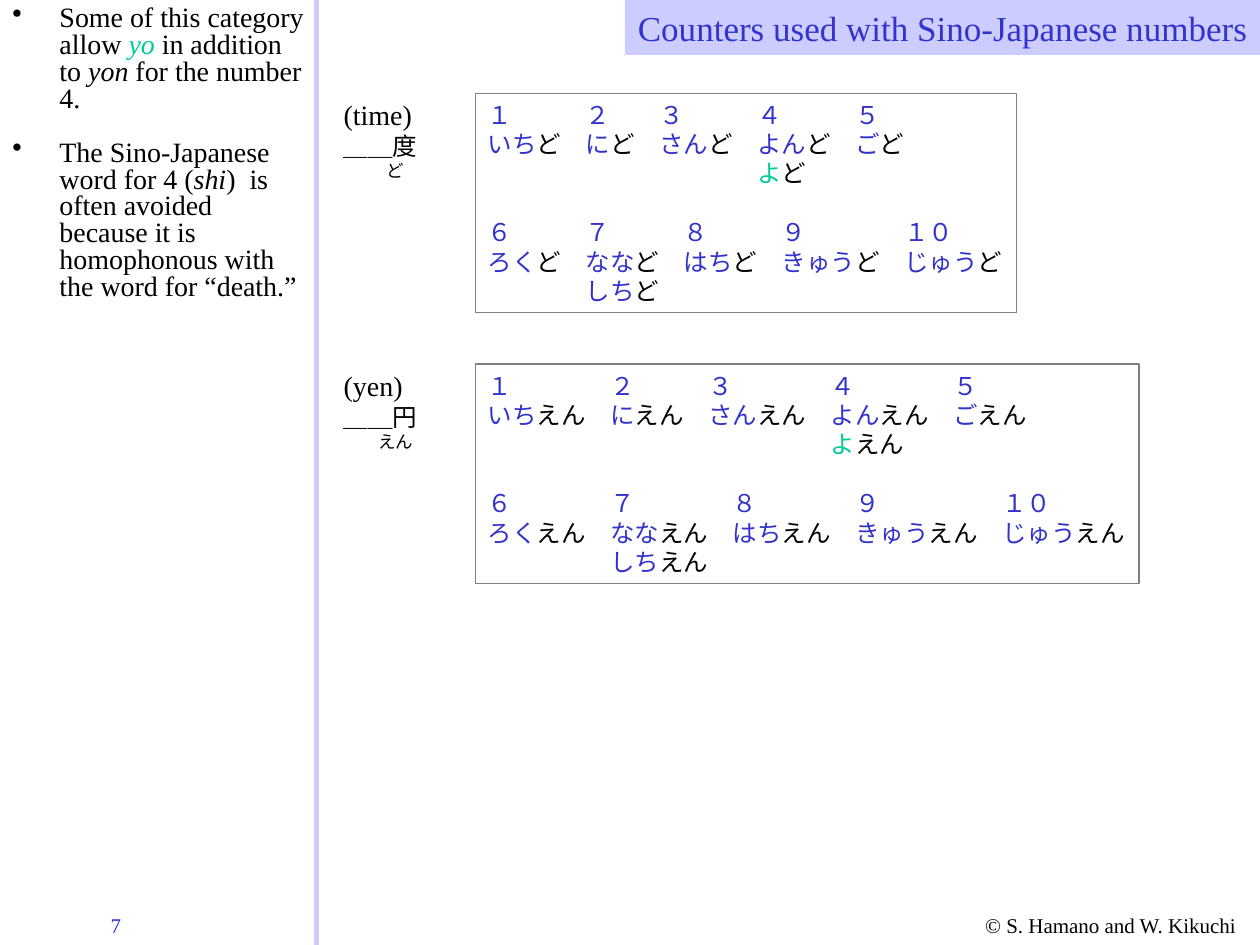
from lxml import etree
from pptx import Presentation
from pptx import util as u
from pptx.dml.color import RGBColor
from pptx.enum import shapes, text
from pptx.oxml import ns

# Content: runs are (words, style)
TITLE = "Counters used with Sino-Japanese numbers"
COPYRIGHT = "© S. Hamano and W. Kikuchi"
PAGE_NUMBER = "7"
NOTES = [
    [("Some of this category allow ", "note"), ("yo", "note_special"),
     (" in addition to ", "note"), ("yon", "note_term"), (" for the number 4.", "note")],
    [("The Sino-Japanese word for 4 (", "note"), ("shi", "note_term"),
     (")  is often avoided because it is homophonous with the word for “death.”", "note")],
]
# (numeral, reading, other reading, style of the other reading)
NUMBER_ROWS = [
    [("１", "いち", "", ""), ("２", "に", "", ""), ("３", "さん", "", ""),
     ("４", "よん", "よ", "special"), ("５", "ご", "", "")],
    [("６", "ろく", "", ""), ("７", "なな", "しち", "number"), ("８", "はち", "", ""),
     ("９", "きゅう", "", ""), ("１０", "じゅう", "", "")],
]
# (meaning, kanji, counter reading, indent of that reading in cm)
COUNTERS = [("(time)", "度", "ど", 0.86), ("(yen)", "円", "えん", 0.7)]

# Theme
LATIN, JAPANESE = "Times New Roman", "Noto Sans CJK JP"
BLACK, BLUE, GREEN, LAVENDER, GRAY = (
    RGBColor.from_string(c) for c in ("000000", "3333CC", "00CC99", "CCCCFF", "808080"))
THEME = {
    "title": dict(name=LATIN, size=u.Pt(20), color=BLUE),
    "note": dict(name=LATIN, size=u.Pt(16), color=BLACK),
    "note_term": dict(name=LATIN, size=u.Pt(16), color=BLACK, italic=True),
    "note_special": dict(name=LATIN, size=u.Pt(16), color=GREEN, italic=True),
    "meaning": dict(name=LATIN, size=u.Pt(16), color=BLACK),
    "counter": dict(name=JAPANESE, size=u.Pt(14), color=BLACK),
    "number": dict(name=JAPANESE, size=u.Pt(14), color=BLUE),
    "special": dict(name=JAPANESE, size=u.Pt(14), color=GREEN),
    "ruby": dict(name=JAPANESE, size=u.Pt(10), color=BLACK),
    "footer": dict(name=LATIN, size=u.Pt(12), color=BLACK),
    "page": dict(name=LATIN, size=u.Pt(12), color=BLUE),
}
LINE_HEIGHT = 1.2
INSETS = dict(margin_left=u.Cm(0.25), margin_right=u.Cm(0.25),
              margin_top=u.Cm(0.13), margin_bottom=u.Cm(0.13))

# Layout
COLUMN_X = u.Cm(6.38)
COUNTER_TOP, COUNTER_PITCH = u.Cm(1.88), u.Cm(5.46)
LABEL_LEFT, BOX_LEFT, BOX_HEIGHT = u.Cm(6.68), u.Cm(9.58), u.Cm(4.42)
CELL = THEME["number"]["size"]


def set_values(target, values):
    for name, value in values.items():
        setattr(target, name, value)


def write_paragraph(paragraph, runs, spacing=LINE_HEIGHT, **values):
    for words, style in runs:
        run = paragraph.add_run()
        run.text = words
        font_values = dict(THEME[style])
        run.font.color.rgb = font_values.pop("color")
        set_values(run.font, font_values)
        east_asian = etree.SubElement(run.font._element, ns.qn("a:ea"))
        east_asian.set("typeface", font_values["name"])
    line_spacing = u.Emu(int(THEME[runs[0][1]]["size"] * spacing))
    set_values(paragraph, dict(line_spacing=line_spacing, **values))


def set_indent(paragraph, left, first=0):
    properties = paragraph._p.get_or_add_pPr()
    properties.set("marL", str(left))
    properties.set("indent", str(first))
    return properties


def add_paragraph(frame, first):
    return frame.paragraphs[0] if first else frame.add_paragraph()


def style_frame(frame, wrap=True, **values):
    set_values(frame, dict(INSETS, word_wrap=wrap, auto_size=text.MSO_AUTO_SIZE.NONE,
                           vertical_anchor=text.MSO_ANCHOR.TOP, **values))
    return frame


def add_text(slide, left, top, width, height, wrap=True):
    return style_frame(slide.shapes.add_textbox(left, top, width, height).text_frame, wrap)


def add_box(slide, left, top, width, height, fill=None, line=None):
    shape = slide.shapes.add_shape(shapes.MSO_SHAPE.RECTANGLE, left, top, width, height)
    shape.shadow.inherit = False
    if fill is None:
        shape.fill.background()
    else:
        shape.fill.solid()
        shape.fill.fore_color.rgb = fill
    if line is None:
        shape.line.fill.background()
    else:
        shape.line.color.rgb = line
        shape.line.width = u.Pt(0.75)
    return shape


def column_starts(row, suffix):
    """Each column holds its reading, the counter and one blank cell."""
    starts = [0]
    for _, reading, _, _ in row:
        starts.append(starts[-1] + len(reading + suffix) + 1)
    return starts


def row_lines(row, suffix):
    numerals, readings, others = [], [], []
    for index, (numeral, reading, other, style) in enumerate(row):
        tab = "\t" if index else ""
        numerals.append((tab + numeral, "number"))
        readings += [(tab + reading, "number"), (suffix, "counter")]
        if other:
            others = [("\t" * index + other, style), (suffix, "counter")]
    return numerals, readings, others


def add_counter(slide, top, meaning, kanji, suffix, ruby_indent):
    # Meaning, kanji and its reading
    frame = add_text(slide, LABEL_LEFT, top - u.Cm(0.05), u.Cm(2.79), u.Cm(1.96))
    label = [(meaning, "meaning"), ("＿＿" + kanji, "counter"), (suffix, "ruby")]
    for index, run in enumerate(label):
        paragraph = add_paragraph(frame, index == 0)
        write_paragraph(paragraph, [run])
    set_indent(paragraph, u.Cm(ruby_indent))

    # Framed readings, wide enough for the longest row
    all_starts = [column_starts(row, suffix) for row in NUMBER_ROWS]
    cells = max(starts[-1] for starts in all_starts) - 1
    width = cells * CELL + u.Cm(0.54)
    shape = add_box(slide, BOX_LEFT, top, width, BOX_HEIGHT, line=GRAY)
    frame = style_frame(shape.text_frame)
    frame.margin_right = 0
    for row_index, (row, starts) in enumerate(zip(NUMBER_ROWS, all_starts)):
        for line_index, runs in enumerate(row_lines(row, suffix)):
            paragraph = add_paragraph(frame, row_index + line_index == 0)
            properties = paragraph._p.get_or_add_pPr()
            tabs = etree.SubElement(properties, ns.qn("a:tabLst"))
            for start in starts[1:-1]:
                etree.SubElement(tabs, ns.qn("a:tab"), pos=str(start * CELL), algn="l")
            write_paragraph(paragraph, runs, alignment=text.PP_ALIGN.LEFT)
            if row_index and not line_index:
                paragraph.space_before = u.Emu(int(CELL * LINE_HEIGHT))


def add_notes(slide):
    frame = add_text(slide, 0, 0, COLUMN_X, u.Cm(7.14))
    spacing = LINE_HEIGHT * 0.8
    for index, runs in enumerate(NOTES):
        paragraph = add_paragraph(frame, index == 0)
        properties = set_indent(paragraph, u.Cm(0.95), -u.Cm(0.95))
        color = etree.SubElement(properties, ns.qn("a:buClr"))
        etree.SubElement(color, ns.qn("a:srgbClr"), val=str(BLACK))
        etree.SubElement(properties, ns.qn("a:buChar"), char="•")
        write_paragraph(paragraph, runs, spacing)
        if index:
            paragraph.space_before = u.Emu(int(THEME["note"]["size"] * spacing))


def main():
    presentation = Presentation()
    set_values(presentation, dict(slide_width=u.Cm(25.4), slide_height=u.Cm(19.05)))
    slide = presentation.slides.add_slide(presentation.slide_layouts[6])

    # Footer
    for words, style, left, width in ((COPYRIGHT, "footer", 19.61, 5.79),
                                      (PAGE_NUMBER, "page", 1.98, 2.26)):
        frame = add_text(slide, u.Cm(left), u.Cm(18.26), u.Cm(width), u.Cm(0.76))
        write_paragraph(frame.paragraphs[0], [(words, style)])

    # Column divider
    divider = slide.shapes.add_connector(shapes.MSO_CONNECTOR.STRAIGHT, COLUMN_X, 0,
                                         COLUMN_X, presentation.slide_height)
    divider.line.color.rgb = LAVENDER
    divider.line.width = u.Pt(3)
    etree.SubElement(divider._element.spPr, ns.qn("a:effectLst"))

    # Notes and counters
    add_notes(slide)
    for index, counter in enumerate(COUNTERS):
        add_counter(slide, COUNTER_TOP + index * COUNTER_PITCH, *counter)

    # Title
    banner = add_box(slide, u.Cm(12.6), 0, u.Cm(12.8), u.Cm(1.11), fill=LAVENDER)
    frame = style_frame(banner.text_frame, wrap=False)
    write_paragraph(frame.paragraphs[0], [(TITLE, "title")], alignment=text.PP_ALIGN.RIGHT)

    presentation.save("out.pptx")


if __name__ == "__main__":
    main()
